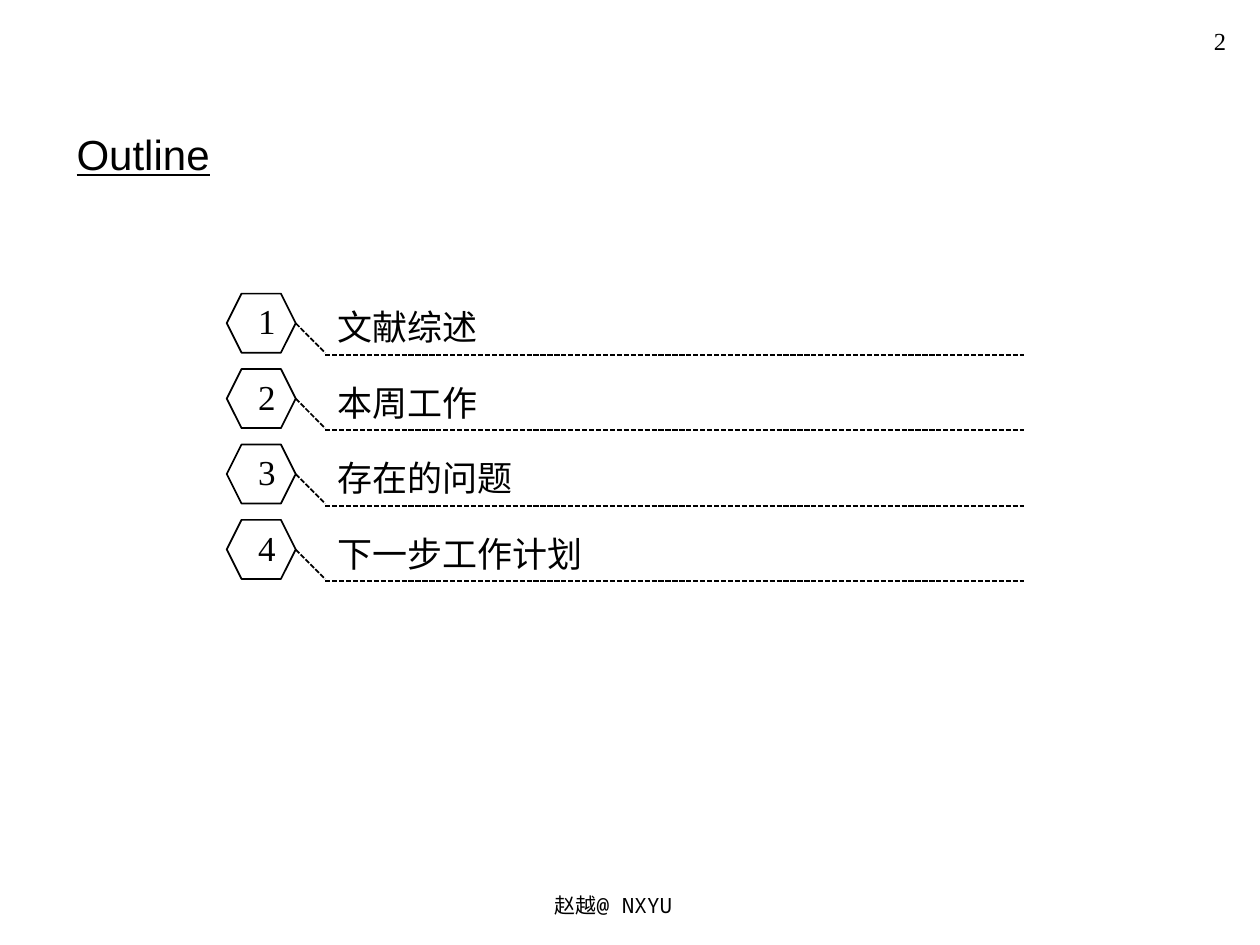
from pptx import Presentation
from pptx.dml.color import RGBColor
from pptx.enum.dml import MSO_LINE
from pptx.enum.shapes import MSO_CONNECTOR, MSO_SHAPE
from pptx.enum.text import MSO_ANCHOR, PP_ALIGN
from pptx.util import Pt
from lxml import etree

# Content
TITLE = "Outline"
PAGE = "2"
FOOTER = "赵越@ NXYU"
MONO, SANS, SERIF = "Noto Sans Mono", "Noto Sans CJK SC", "Times New Roman"
TOPICS = [
    ("文献综述", MONO),
    ("本周工作", MONO),
    ("存在的问题", SANS),
    ("下一步工作计划", SANS),
]
COLORS = {"ink": "000000"}
INK = RGBColor.from_string(COLORS["ink"])

# Layout, in points
TOP, PITCH = 167.8, 43.1
HEX_X, HEX_W, HEX_H = 129.6, 39.4, 33.8
RULE_X, RULE_END, RULE_DY = 185.8, 585.4, 35
LINE_W = 1

prs = Presentation()
prs.slide_width, prs.slide_height = Pt(720), Pt(540)
slide = prs.slides.add_slide(prs.slide_layouts[6])
shapes = slide.shapes


def add_text(text, x, y, w, h, size, font, align=PP_ALIGN.LEFT,
             anchor=MSO_ANCHOR.TOP, underline=False):
    tf = shapes.add_textbox(Pt(x), Pt(y), Pt(w), Pt(h)).text_frame
    tf.word_wrap = True
    tf.vertical_anchor = anchor
    tf.text = text
    p = tf.paragraphs[0]
    p.alignment = align
    r = p.runs[0]
    r.font.size, r.font.name = Pt(size), font
    r.font.color.rgb = INK
    if underline:
        r.font.underline = True
    # East Asian glyphs use the same font
    latin = r.font._element.find("{*}latin")
    ea = etree.Element(latin.tag.replace("latin", "ea"), typeface=font)
    latin.addnext(ea)


def add_dashes(x1, y1, x2, y2):
    line = shapes.add_connector(MSO_CONNECTOR.STRAIGHT, Pt(x1), Pt(y1), Pt(x2), Pt(y2))
    line.line.color.rgb = INK
    line.line.width = Pt(LINE_W)
    line.line.dash_style = MSO_LINE.SQUARE_DOT
    sp_pr = line._element.spPr
    etree.SubElement(sp_pr, sp_pr[0].tag.replace("xfrm", "effectLst"))


def add_hexagon(x, y):
    sp = shapes.add_shape(MSO_SHAPE.HEXAGON, Pt(x), Pt(y), Pt(HEX_W), Pt(HEX_H))
    sp.adjustments[0] = 0.25
    sp.shadow.inherit = False
    sp.fill.background()
    sp.line.color.rgb = INK
    sp.line.width = Pt(LINE_W)


# Footer, page number and title
add_text(FOOTER, 170.6, 506.2, 360, 21.6, 12, MONO, PP_ALIGN.CENTER)
add_text(PAGE, 641.5, 11.5, 66.2, 31.7, 14, SERIF, PP_ALIGN.RIGHT)
add_text(TITLE, 36.7, 60.5, 640.8, 45.4, 24, "Arial",
         anchor=MSO_ANCHOR.BOTTOM, underline=True)

# Numbered topics
for i, (topic, font) in enumerate(TOPICS):
    y = TOP + i * PITCH
    add_hexagon(HEX_X, y)
    add_text(str(i + 1), 140.4, y, 16.6, 31.7, 20, SERIF, PP_ALIGN.CENTER)
    add_text(topic, RULE_X, y + 3.4, RULE_END - RULE_X, 31.7, 20, font)
    add_dashes(HEX_X + HEX_W, y + HEX_H / 2, RULE_X, y + HEX_H)
    add_dashes(RULE_X, y + RULE_DY, RULE_END, y + RULE_DY)

prs.save("out.pptx")
